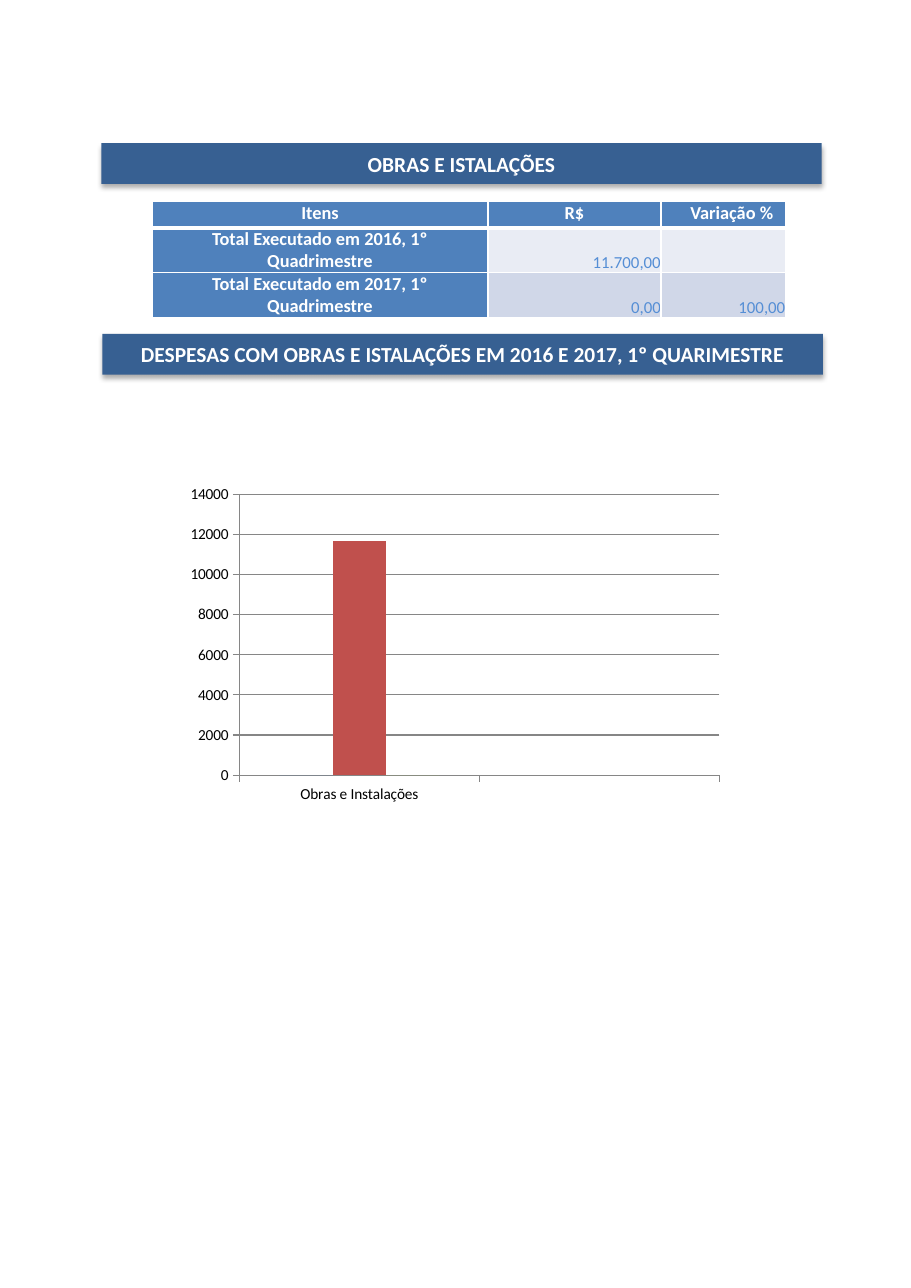
from dataclasses import dataclass

from lxml.etree import SubElement
from pptx import Presentation
from pptx.chart.data import CategoryChartData
from pptx.dml.color import RGBColor
from pptx.enum.chart import XL_CHART_TYPE as ChartType, XL_TICK_MARK as Tick
from pptx.enum.shapes import MSO_SHAPE as Preset
from pptx.enum.text import MSO_ANCHOR as Anchor, MSO_AUTO_SIZE as AutoSize, PP_ALIGN as Align
from pptx.oxml.ns import qn
from pptx.util import Inches, Pt

FONT = "Calibri"
WHITE = "FFFFFF"
BANNER_BLUE = "376092"
HEADER_BLUE = "4F81BC"
VALUE_BLUE = "558ED5"
AXIS_GREY = "868686"


@dataclass
class Banner:
    text: str
    left: float
    top: float


@dataclass
class Column:
    width: float
    left_margin: float
    right_margin: float
    header_align: Align


@dataclass
class Row:
    height: float
    texts: tuple[str, ...]
    value_fill: str
    top_line: float
    bottom_line: float


@dataclass
class Series:
    name: str
    values: tuple
    color: str


BANNERS = [
    Banner("OBRAS E ISTALAÇÕES", 0.92, 1.3),
    Banner("DESPESAS COM OBRAS E ISTALAÇÕES EM 2016 E 2017, 1º QUARIMESTRE", 0.93, 3.03),
]
COLUMNS = [
    Column(3.05, 0.4, 0.4, Align.CENTER),
    Column(1.57, 0, 0, Align.CENTER),
    Column(1.13, 0, 0.11, Align.RIGHT),
]
ROWS = [
    Row(0.24, ("Itens", "R$", "Variação %"), HEADER_BLUE, 1, 3),
    Row(0.4, ("Total Executado em 2016, 1º Quadrimestre", "11.700,00", ""), "E9ECF4", 3, 1),
    Row(0.4, ("Total Executado em 2017, 1º Quadrimestre", "0,00", "100,00"), "D0D7E8", 1, 1),
]
SERIES = [
    Series("Series 1", (0, None), "4F81BD"),
    Series("Series 2", (11700, None), "C0504D"),
    Series("Series 3", (0, None), "9BBB59"),
]


def rgb(color: str) -> RGBColor:
    return RGBColor.from_string(color)


def paint(fill, color: str) -> None:
    fill.solid()
    fill.fore_color.rgb = rgb(color)


def style_font(font, size: float, color: str, bold: bool = False) -> None:
    font.name = FONT
    font.size = Pt(size)
    font.bold = bold
    font.color.rgb = rgb(color)


def write(frame, text: str, align: Align, size: float, color: str, bold: bool) -> None:
    paragraph = frame.paragraphs[0]
    paragraph.alignment = align
    run = paragraph.add_run()
    run.text = text
    style_font(run.font, size, color, bold)


def add_shadow(shape) -> None:
    shape.shadow.inherit = False
    effects = shape._element.spPr.find(qn("a:effectLst"))
    shadow = SubElement(effects, qn("a:outerShdw"), blurRad=str(Pt(3.5)),
                        dist=str(Pt(2.2)), dir="5400000", rotWithShape="0")
    color = SubElement(shadow, qn("a:srgbClr"), val="000000")
    SubElement(color, qn("a:alpha"), val="32000")


def format_banner(shape, banner: Banner) -> None:
    shape.left, shape.top = Inches(banner.left), Inches(banner.top)
    shape.width, shape.height = Inches(6.54), Inches(0.37)
    paint(shape.fill, BANNER_BLUE)
    shape.line.fill.background()
    add_shadow(shape)
    frame = shape.text_frame
    frame.auto_size = AutoSize.NONE
    frame.word_wrap = True
    frame.vertical_anchor = Anchor.MIDDLE
    write(frame, banner.text, Align.CENTER, 14, WHITE, True)


def add_borders(cell, row: Row) -> None:
    properties = cell._tc.get_or_add_tcPr()
    widths = {"L": 1, "R": 1, "T": row.top_line, "B": row.bottom_line}
    for side, width in widths.items():
        line = SubElement(properties, qn(f"a:ln{side}"), w=str(Pt(width)))
        SubElement(SubElement(line, qn("a:solidFill")), qn("a:srgbClr"), val=WHITE)


def add_spending_table(slide) -> None:
    table = slide.shapes.add_table(len(ROWS), len(COLUMNS), Inches(1.38), Inches(1.83),
                                   Inches(5.75), Inches(1.04)).table
    table.first_row = table.horz_banding = False
    for grid_column, column in zip(table.columns, COLUMNS):
        grid_column.width = Inches(column.width)
    for r, row in enumerate(ROWS):
        table.rows[r].height = Inches(row.height)
        for c, column in enumerate(COLUMNS):
            cell = table.cell(r, c)
            heading = r == 0 or c == 0
            cell.margin_top = cell.margin_bottom = 0
            cell.margin_left = Inches(column.left_margin if heading else 0)
            cell.margin_right = Inches(column.right_margin if heading else 0)
            cell.vertical_anchor = Anchor.TOP if heading else Anchor.BOTTOM
            add_borders(cell, row)
            paint(cell.fill, HEADER_BLUE if heading else row.value_fill)
            if not row.texts[c]:
                continue
            if heading:
                cell.text_frame.paragraphs[0].space_before = Pt(0.6)
                write(cell.text_frame, row.texts[c], column.header_align, 12, WHITE, True)
            else:
                write(cell.text_frame, row.texts[c], Align.RIGHT, 11, VALUE_BLUE, False)


def add_spending_chart(slide) -> None:
    data = CategoryChartData()
    data.categories = ["Obras e Instalações", ""]
    for series in SERIES:
        data.add_series(series.name, series.values)
    chart = slide.shapes.add_chart(ChartType.COLUMN_CLUSTERED, Inches(1.63), Inches(4.35),
                                   Inches(5), Inches(3), data).chart
    chart.has_legend = False
    chart.has_title = False
    style_font(chart.font, 10, "000000")
    plot = chart.plots[0]
    plot.gap_width = 150
    plot.overlap = 0
    plot.vary_by_categories = False
    for bars, series in zip(plot.series, SERIES):
        paint(bars.format.fill, series.color)
    amounts = chart.value_axis
    amounts.minimum_scale, amounts.maximum_scale, amounts.major_unit = 0, 14000, 2000
    amounts.has_major_gridlines = True
    for axis in (chart.category_axis, amounts):
        axis.major_tick_mark = Tick.OUTSIDE
        axis.minor_tick_mark = Tick.NONE
    for line in (chart.category_axis.format.line, amounts.format.line,
                 amounts.major_gridlines.format.line):
        line.color.rgb = rgb(AXIS_GREY)
        line.width = Pt(0.75)


def main() -> None:
    deck = Presentation()
    deck.slide_width, deck.slide_height = Inches(8.27), Inches(11.69)
    slide = deck.slides.add_slide(deck.slide_layouts[5])
    heading, chart_heading = BANNERS
    format_banner(slide.shapes.title, heading)
    add_spending_table(slide)
    add_spending_chart(slide)
    format_banner(slide.shapes.add_shape(Preset.RECTANGLE, 0, 0, 0, 0), chart_heading)
    deck.save("out.pptx")


if __name__ == "__main__":
    main()
